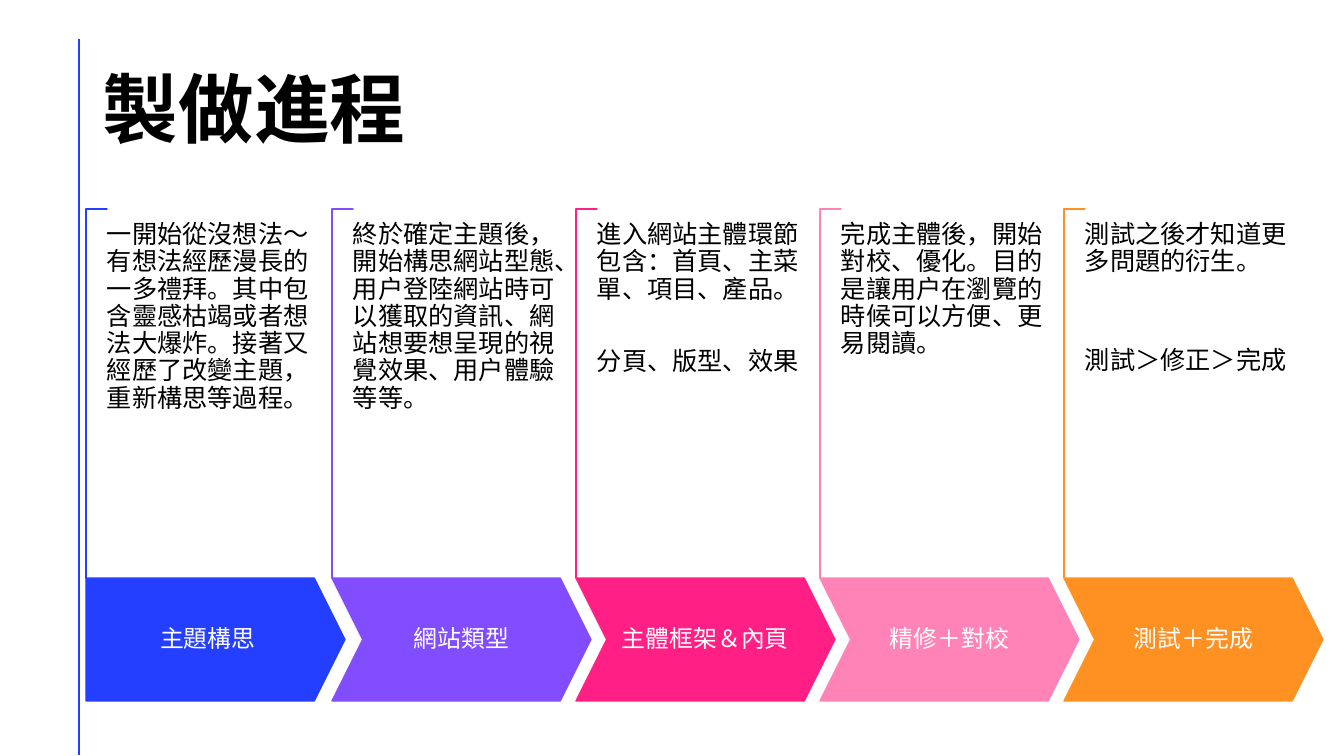
from lxml import etree
from pptx import Presentation
from pptx.dml.color import RGBColor
from pptx.enum.shapes import MSO_CONNECTOR, MSO_SHAPE
from pptx.enum.text import MSO_ANCHOR, MSO_AUTO_SIZE, PP_ALIGN
from pptx.oxml.ns import qn
from pptx.util import Pt

STRAIGHT = MSO_CONNECTOR.STRAIGHT
CORNER, PENTAGON, CHEVRON = MSO_SHAPE.CORNER, MSO_SHAPE.PENTAGON, MSO_SHAPE.CHEVRON
TOP, MIDDLE = MSO_ANCHOR.TOP, MSO_ANCHOR.MIDDLE
NO_AUTOFIT = MSO_AUTO_SIZE.NONE
LEFT, CENTER = PP_ALIGN.LEFT, PP_ALIGN.CENTER

BLUE = RGBColor(0x24, 0x3F, 0xFF)
PURPLE = RGBColor(0x81, 0x4D, 0xFF)
MAGENTA = RGBColor(0xFF, 0x1F, 0x85)
PINK = RGBColor(0xFF, 0x83, 0xB6)
ORANGE = RGBColor(0xFF, 0x90, 0x22)
BLACK = RGBColor(0, 0, 0)
WHITE = RGBColor(0xFF, 0xFF, 0xFF)
FONT = "Noto Sans CJK TC"

TITLE = "製做進程"
STEPS = [
    ("主題構思", BLUE, 86, 0,
     ["一開始從沒想法～有想法經歷漫長的一多禮拜。其中包含靈感枯竭或者想法大爆炸。"
      "接著又經歷了改變主題，重新構思等過程。"]),
    ("網站類型", PURPLE, 332, 0,
     ["終於確定主題後，開始構思網站型態、用戶登陸網站時可以獲取的資訊、"
      "網站想要想呈現的視覺效果、用戶體驗等等。"]),
    ("主體框架＆內頁", MAGENTA, 576, 32,
     ["進入網站主體環節包含：首頁、主菜單、項目、產品。", "分頁、版型、效果"]),
    ("精修＋對校", PINK, 820, 0,
     ["完成主體後，開始對校、優化。目的是讓用戶在瀏覽的時候可以方便、更易閱讀。"]),
    ("測試＋完成", ORANGE, 1064, 51,
     ["測試之後才知道更多問題的衍生。", "測試＞修正＞完成"]),
]
BRACKET_TOP, BRACKET_WIDTH, BRACKET_HEIGHT = 209, 21, 369
ARROW_TOP, ARROW_WIDTH, ARROW_HEIGHT = 578, 259, 123
TEXT_TOP, TEXT_WIDTH, TEXT_HEIGHT = 222, 210, 344


def px(value):
    return round(value * 914400 / 100.8)


def box(left, top, width, height):
    return px(left), px(top), px(width), px(height)


def write(shape, paragraphs, size, color, align, anchor, insets, gap=0, bold=False):
    frame = shape.text_frame
    frame.word_wrap = True
    frame.auto_size = NO_AUTOFIT
    frame.vertical_anchor = anchor
    frame.margin_left = frame.margin_right = px(insets[0])
    frame.margin_top = frame.margin_bottom = px(insets[1])
    frame.text = "\n".join(paragraphs)
    for index, paragraph in enumerate(frame.paragraphs):
        paragraph.alignment = align
        paragraph.line_spacing = 0.9
        paragraph.space_before = Pt(gap if index else 0)
        for run in paragraph.runs:
            run.font.name = FONT
            run.font.size = Pt(size)
            run.font.bold = bold
            run.font.color.rgb = color
            east_asian = etree.SubElement(run.font._element, qn("a:ea"))
            east_asian.set("typeface", FONT)


def add_shape(kind, bounds, fill, line, adjustments):
    shape = slide.shapes.add_shape(kind, *box(*bounds))
    shape.shadow.inherit = False
    shape.fill.solid()
    shape.fill.fore_color.rgb = fill
    shape.line.color.rgb = line
    shape.line.width = Pt(1)
    for index, value in enumerate(adjustments):
        shape.adjustments[index] = value
    return shape


presentation = Presentation()
presentation.slide_width, presentation.slide_height = px(1344), px(756)
slide = presentation.slides.add_slide(presentation.slide_layouts[5])

rule = slide.shapes.add_connector(STRAIGHT, px(79), px(39), px(79), px(755))
rule.line.color.rgb = BLUE
rule.line.width = Pt(2)
etree.SubElement(rule._element.spPr, qn("a:effectLst"))

title = slide.shapes.title
title.left, title.top, title.width, title.height = box(93, 40, 1159, 146)
write(title, [TITLE], 54, BLACK, LEFT, MIDDLE, (10, 5), bold=True)

for number, (label, color, left, gap, paragraphs) in enumerate(STEPS):
    shift = (BRACKET_HEIGHT - BRACKET_WIDTH) / 2
    bracket = add_shape(
        CORNER, (left - shift, BRACKET_TOP + shift, BRACKET_HEIGHT, BRACKET_WIDTH),
        WHITE, color, (0.01, 0.01))
    bracket.rotation = 90

    arrow = add_shape(
        CHEVRON if number else PENTAGON,
        (left, ARROW_TOP, ARROW_WIDTH, ARROW_HEIGHT), color, color, (0.25,))
    write(arrow, [label], 17, WHITE, CENTER, MIDDLE, (12, 24))

    description = slide.shapes.add_textbox(
        *box(left + BRACKET_WIDTH, TEXT_TOP, TEXT_WIDTH, TEXT_HEIGHT))
    write(description, paragraphs, 18, BLACK, LEFT, TOP, (0, 0), gap)

presentation.save("out.pptx")
